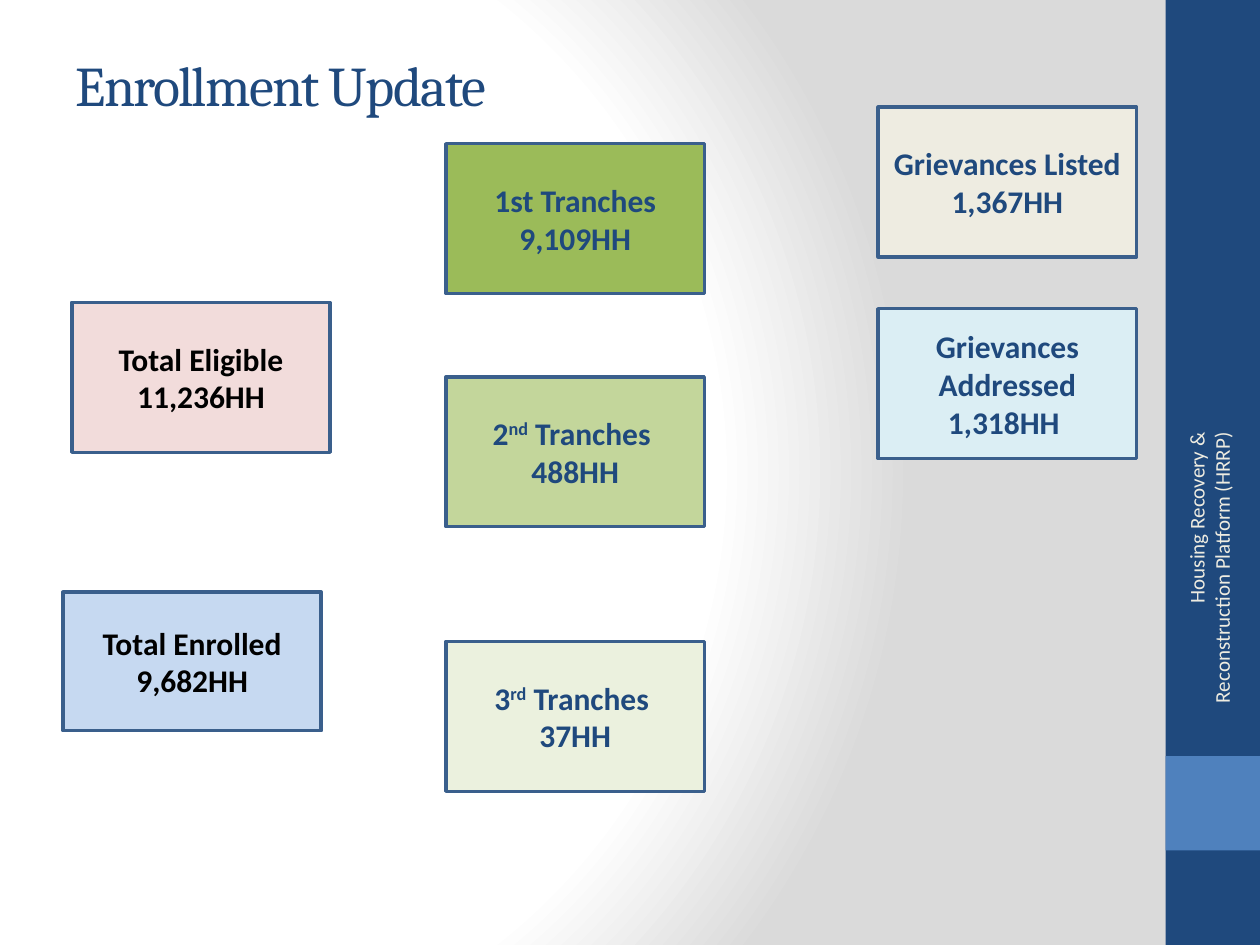
from lxml.etree import SubElement as Sub
from pptx import Presentation
from pptx.dml.color import RGBColor as Rgb
from pptx.enum.shapes import MSO_SHAPE as Kind
from pptx.enum.text import MSO_ANCHOR as Anchor, PP_ALIGN as Align
from pptx.oxml.ns import qn
from pptx.util import Inches, Pt

theme = dict(
    navy="1F497D", blue="4F81BD", edge="3A5F8C", black="000000", cream="EEECE1",
    pink="F2DCDB", sky="C6D9F1", green="9BBB59", lime="C3D69B", pale="EBF1DE",
    ice="DBEEF4", white="FFFFFF", grey="DADADA",
    head=Pt(32), body=Pt(18), side=Pt(12), serif="Cambria", sans="Calibri",
)


def style(font, tone, **form):
    for key, val in form.items():
        setattr(font, key, val)
    font.color.rgb = Rgb.from_string(theme[tone])


def block(left, top, wide, high, tone):
    box = slide.shapes.add_shape(
        Kind.RECTANGLE, Inches(left), Inches(top), Inches(wide), Inches(high))
    box.shadow.inherit = False
    box.fill.solid()
    box.fill.fore_color.rgb = Rgb.from_string(theme[tone])
    box.line.fill.background()
    return box


deck = Presentation()
deck.slide_width, deck.slide_height = Inches(10), Inches(7.5)
slide = deck.slides.add_slide(deck.slide_layouts[5])

slide.background.fill.gradient()
grad = next(slide.element.iter(qn("a:gradFill")))
for part in list(grad):
    grad.remove(part)
stops = Sub(grad, qn("a:gsLst"))
for pos, tone in [(0, "white"), (75, "white"), (100, "grey")]:
    stop = Sub(stops, qn("a:gs"), pos=str(pos * 1000))
    Sub(stop, qn("a:srgbClr"), val=theme[tone])
shade = Sub(grad, qn("a:path"), path="circle")
Sub(shade, qn("a:fillToRect"), l="20000", t="50000", r="100000", b="50000")

block(9.25, 0, 0.75, 7.5, "navy")
block(9.25, 6, 0.75, 0.75, "blue")

title = slide.shapes.title
place = dict(left=0.5, top=0.3, width=8.33, height=0.73)
for key, val in place.items():
    setattr(title, key, Inches(val))
title.text_frame.text = "Enrollment Update"
title.text_frame.vertical_anchor = Anchor.MIDDLE
para = title.text_frame.paragraphs[0]
para.alignment = Align.LEFT
run = para.runs[0]
style(run.font, "navy", size=theme["head"], name=theme["serif"])
run.font.element.set("spc", "-100") if hasattr(run.font, "element") else \
    run._r.get_or_add_rPr().set("spc", "-100")

side = slide.shapes.add_textbox(Inches(8.3), Inches(4.43), Inches(2.59), Inches(0.4))
side.rotation = 270
frame = side.text_frame
frame.word_wrap = True
frame.vertical_anchor = Anchor.MIDDLE
frame.text = "Housing Recovery & Reconstruction Platform (HRRP)"
para = frame.paragraphs[0]
para.alignment = Align.RIGHT
style(para.runs[0].font, "cream", size=theme["side"], name=theme["sans"])

cards = [
    (0.57, 2.4, 1.19, "pink", "black", ["Total Eligible"], "11,236HH"),
    (0.5, 4.7, 1.1, "sky", "black", ["Total Enrolled"], "9,682HH"),
    (3.54, 1.14, 1.19, "green", "navy", ["1st Tranches"], "9,109HH"),
    (3.54, 2.99, 1.19, "lime", "navy", ["2", "nd", " Tranches "], "488HH"),
    (3.54, 5.09, 1.19, "pale", "navy", ["3", "rd", " Tranches "], "37HH"),
    (6.97, 0.85, 1.19, "cream", "navy", ["Grievances Listed"], "1,367HH"),
    (6.97, 2.45, 1.19, "ice", "navy", ["Grievances Addressed"], "1,318HH "),
]
for left, top, high, tone, ink, label, count in cards:
    box = block(left, top, 2.05, high, tone)
    box.line.color.rgb = Rgb.from_string(theme["edge"])
    box.line.width = Pt(2)
    frame = box.text_frame
    frame.word_wrap = True
    frame.vertical_anchor = Anchor.MIDDLE
    for para, words in [(frame.paragraphs[0], label), (frame.add_paragraph(), [count])]:
        para.alignment = Align.CENTER
        for word in words:
            run = para.add_run()
            run.text = word
            style(run.font, ink, size=theme["body"], name=theme["sans"], bold=True)
            if word in ("nd", "rd"):
                run._r.get_or_add_rPr().set("baseline", "30000")

deck.save("out.pptx")
